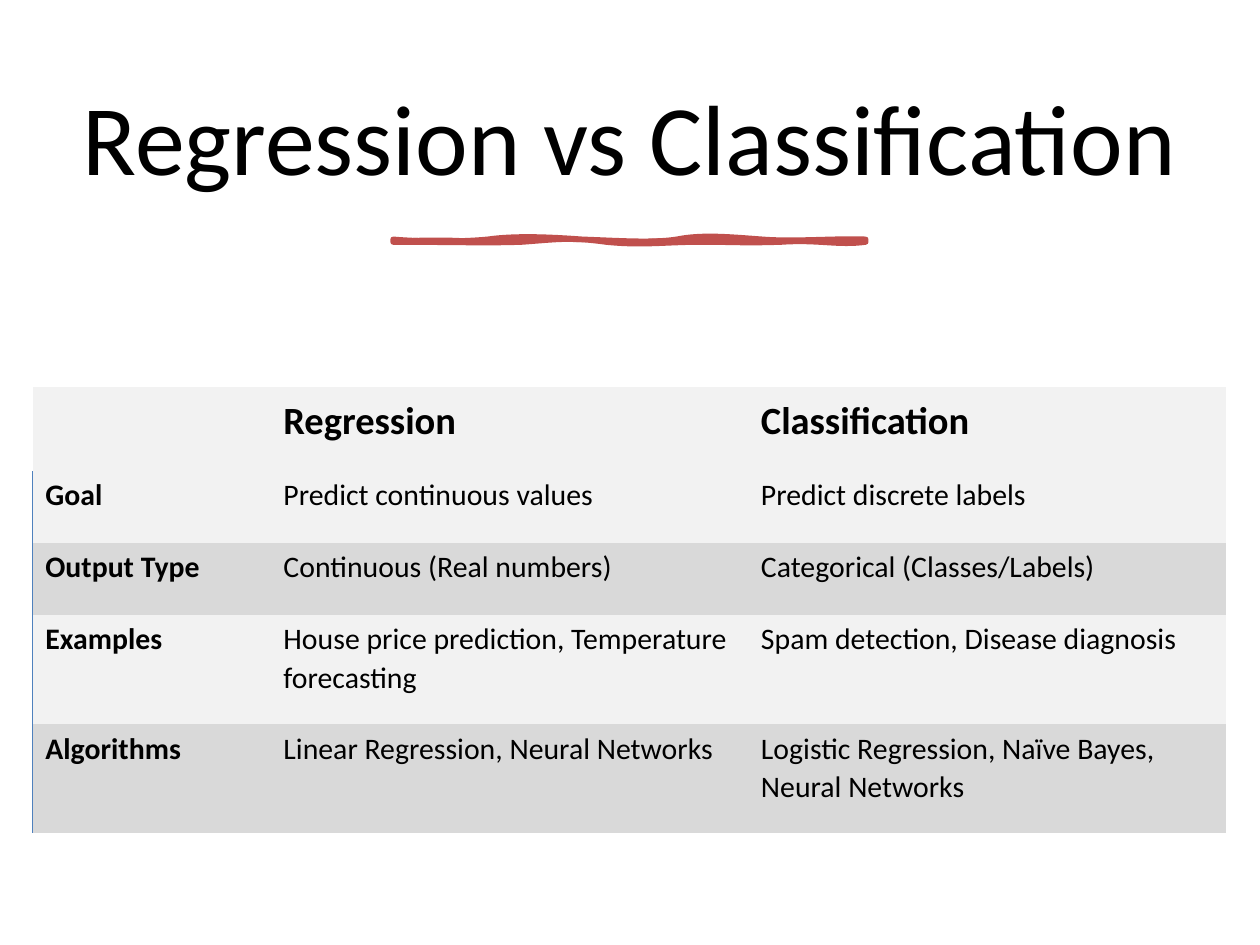
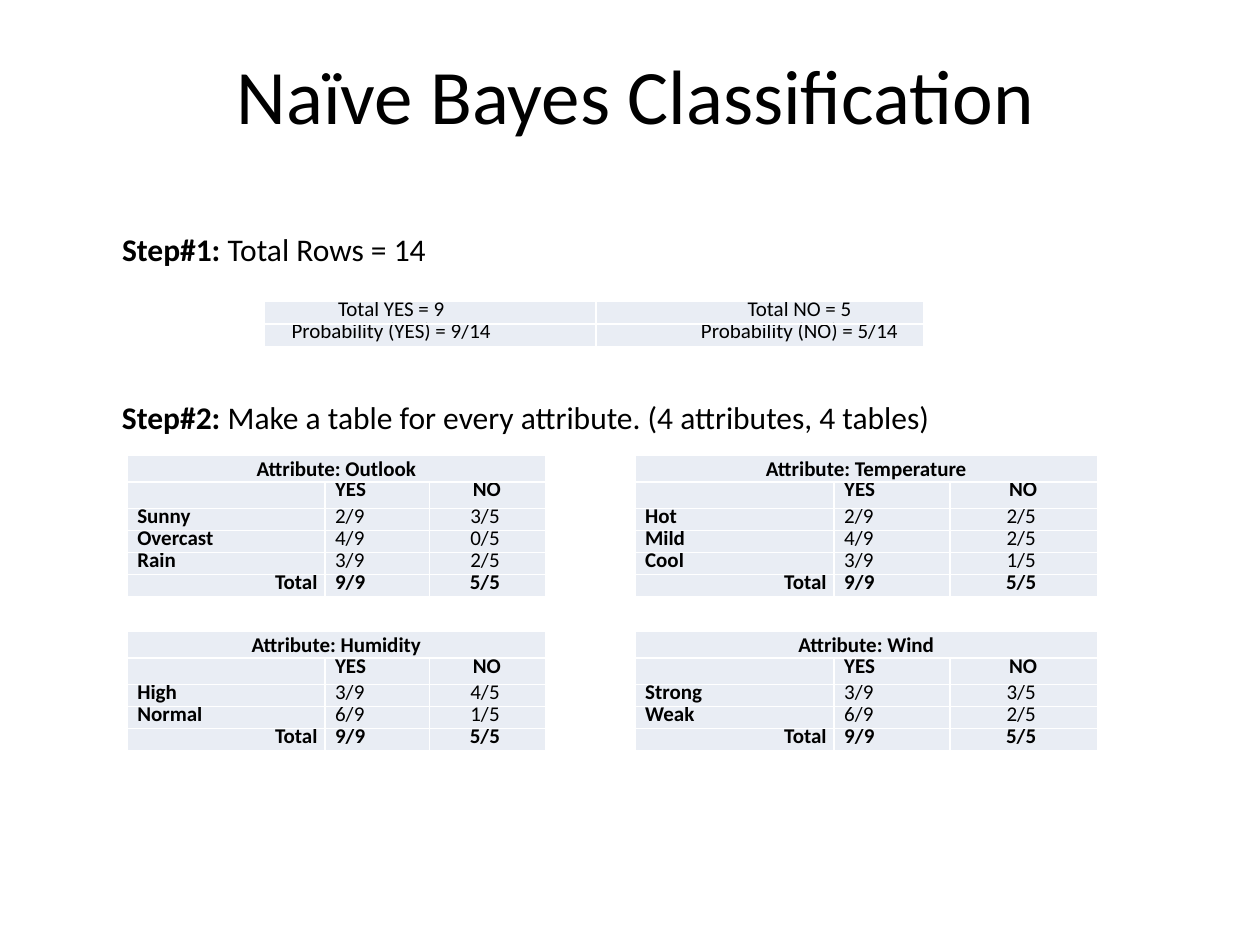
from dataclasses import dataclass

import lxml.etree
import pptx
import pptx.util
import pptx.dml.color
import pptx.enum.text
import pptx.oxml.ns

Inches, Pt = pptx.util.Inches, pptx.util.Pt
ALIGN, ANCHOR = pptx.enum.text.PP_ALIGN, pptx.enum.text.MSO_ANCHOR
SubElement, qn = lxml.etree.SubElement, pptx.oxml.ns.qn


@dataclass(frozen=True)
class Theme:
    font: str = "Calibri"
    text: str = "000000"
    accent: str = "C0504D"
    rule: str = "4F81BD"
    light: str = "F2F2F2"
    dark: str = "D9D9D9"
    pale: str = "E9EDF4"
    white: str = "FFFFFF"
    hero: float = 57
    title: float = 44
    heading: float = 22
    step: float = 18
    body: float = 17
    small: float = 12
    leading: float = 1.07


T = Theme()

COMPARISON = [
    ("", "Regression", "Classification"),
    ("Goal", "Predict continuous values", "Predict discrete labels"),
    ("Output Type", "Continuous (Real numbers)", "Categorical (Classes/Labels)"),
    ("Examples", "House price prediction, Temperature forecasting",
     "Spam detection, Disease diagnosis"),
    ("Algorithms", "Linear Regression, Neural Networks",
     "Logistic Regression, Naïve Bayes, Neural Networks"),
]

TOTALS = [("Total YES = 9", "Total NO = 5"),
          ("Probability (YES) = 9/14", "Probability (NO) = 5/14")]

# Two rows of attribute tables, left and right
ATTRIBUTES = [
    [("Outlook", [("Sunny", "2/9", "3/5"), ("Overcast", "4/9", "0/5"), ("Rain", "3/9", "2/5")]),
     ("Temperature", [("Hot", "2/9", "2/5"), ("Mild", "4/9", "2/5"), ("Cool", "3/9", "1/5")])],
    [("Humidity", [("High", "3/9", "4/5"), ("Normal", "6/9", "1/5")]),
     ("Wind", [("Strong", "3/9", "3/5"), ("Weak", "6/9", "2/5")])],
]

# Cubic curves of the brush stroke: a start, then three points per curve,
# in inches from the left end of the stroke
STROKE_EDGE = [
    (0, 0), (.24, .02), (.54, .02), (.75, 0), (.96, -.03), (1.23, -.02), (1.5, 0),
    (1.78, .01), (2.06, .03), (2.25, 0), (2.45, -.04), (2.66, -.02), (2.93, 0),
    (3.19, .02), (3.51, -.01), (3.75, 0), (3.75, 0), (3.75, .01), (3.75, .02),
    (3.53, .05), (3.38, 0), (3.08, .02), (2.78, .03), (2.72, .02), (2.44, .02),
    (2.16, .02), (1.98, .05), (1.69, .02), (1.4, -.02), (1.3, 0), (1.02, .02),
    (.74, .03), (.45, .02), (0, .02), (0, .01), (0, 0), (0, 0)]
STROKE_BODY = [
    (0, 0), (.19, -.02), (.49, -.02), (.68, 0), (.87, .01), (1.18, 0), (1.32, 0),
    (1.46, -.01), (1.67, .02), (1.99, 0), (2.31, -.03), (2.43, .02), (2.74, 0),
    (3.05, -.03), (3.31, .04), (3.75, 0), (3.75, 0), (3.75, .01), (3.75, .02),
    (3.4, 0), (3.16, .02), (3, .02), (2.84, .01), (2.59, .01), (2.18, .02),
    (1.77, .02), (1.73, 0), (1.54, .02), (1.35, .03), (.97, -.02), (.72, .02),
    (.46, .05), (.15, -.02), (0, .02), (0, .01), (0, 0), (0, 0)]


def rgb(color):
    return pptx.dml.color.RGBColor.from_string(color)


def write(p, parts, size, align=ALIGN.LEFT, leading=None):
    """Fill a paragraph with (text, bold) parts."""
    p.alignment = align
    if leading:
        p.line_spacing = leading
    for text, bold in parts:
        r = p.add_run()
        r.text = text
        r.font.name, r.font.size, r.font.bold = T.font, Pt(size), bold
        r.font.color.rgb = rgb(T.text)


def add_text(slide, box, parts, size, inset=None, anchor=ANCHOR.TOP, **style):
    sp = slide.shapes.add_textbox(*map(Inches, box))
    tf = sp.text_frame
    tf.word_wrap, tf.vertical_anchor = True, anchor
    if inset is not None:
        tf.margin_left = tf.margin_top = tf.margin_right = tf.margin_bottom = Inches(inset)
    write(tf.paragraphs[0], parts, size, **style)


def add_title(slide, box, text, size, **style):
    add_text(slide, box, [(text, False)], size, align=ALIGN.CENTER, **style)


def add_table(slide, left, top, widths, heights):
    frame = slide.shapes.add_table(len(heights), len(widths), Inches(left), Inches(top),
                                   Inches(sum(widths)), Inches(sum(heights)))
    table = frame.table
    table.first_row = table.horz_banding = False
    for column, width in zip(table.columns, widths):
        column.width = Inches(width)
    for row, height in zip(table.rows, heights):
        row.height = Inches(height)
    return table


def set_cell(cell, text, fill, size, bold=False, insets=(0, 0, 0, 0), borders=None,
             anchor=ANCHOR.TOP, **style):
    """Style a cell; borders maps a side (L, R, T, B) to its colour."""
    tc_pr = cell._tc.get_or_add_tcPr()
    for side in "LRTB":
        color = (borders or {}).get(side)
        ln = SubElement(tc_pr, qn("a:ln" + side), w=str(Pt(1)))
        paint = SubElement(ln, qn("a:solidFill" if color else "a:noFill"))
        if color:
            SubElement(paint, qn("a:srgbClr"), val=color)
    cell.fill.solid()
    cell.fill.fore_color.rgb = rgb(fill)
    cell.margin_left, cell.margin_top, cell.margin_right, cell.margin_bottom = map(Inches, insets)
    cell.vertical_anchor = anchor
    p = cell.text_frame.paragraphs[0]
    if text:
        write(p, [(text, bold)], size, **style)
    else:
        SubElement(p._p, qn("a:endParaRPr"), sz=str(size * 100))


def add_curves(path_list, curves, width, height, **paint):
    """Add one closed path of cubic curves to a freeform."""
    path = SubElement(path_list, qn("a:path"), w=str(width), h=str(height), **paint)
    points = [{"x": str(Inches(x)), "y": str(Inches(y))} for x, y in curves]
    SubElement(SubElement(path, qn("a:moveTo")), qn("a:pt"), points[0])
    for i in range(1, len(points), 3):
        curve = SubElement(path, qn("a:cubicBezTo"))
        for point in points[i:i + 3]:
            SubElement(curve, qn("a:pt"), point)
    SubElement(path, qn("a:close"))


def add_stroke(slide, left, top, width, height):
    """Brush stroke: one freeform with an outlined edge and a filled body."""
    x, y, w, h = map(Inches, (left, top, width, height))
    builder = slide.shapes.build_freeform(x, y)
    builder.add_line_segments([(x + w, y), (x + w, y + h)])
    sp = builder.convert_to_shape()
    path_list = sp._element.spPr.find(".//" + qn("a:pathLst"))
    path_list.remove(path_list[0])
    add_curves(path_list, STROKE_EDGE, w, h, fill="none")
    add_curves(path_list, STROKE_BODY, w, h, stroke="0")
    sp.shadow.inherit = False
    sp.fill.solid()
    sp.fill.fore_color.rgb = rgb(T.accent)
    sp.line.color.rgb = rgb(T.accent)
    sp.line.width = Pt(3.25)


def add_comparison(slide, left, top):
    table = add_table(slide, left, top, [1.89, 3.79, 3.79], [.67, .57, .57, .87, .86])
    for i, row in enumerate(COMPARISON):
        head = i == 0
        for j, text in enumerate(row):
            set_cell(table.cell(i, j), text,
                     T.dark if i and i % 2 == 0 else T.light,
                     T.heading if head else T.body,
                     bold=head or j == 0, insets=(.1, .03, .1, .21),
                     borders={"L": T.rule} if j == 0 and not head else None,
                     anchor=ANCHOR.BOTTOM if head else ANCHOR.TOP, leading=T.leading)


def set_pale_cell(cell, text, **style):
    set_cell(cell, text, T.pale, T.small, borders=dict.fromkeys("LRTB", T.white), **style)


def add_totals(slide, left, top):
    table = add_table(slide, left, top, [2.63, 2.6], [.18, .18])
    insets = [(0, 0, .62, 0), (.63, 0, 0, 0)]
    for i, row in enumerate(TOTALS):
        for j, text in enumerate(row):
            set_pale_cell(table.cell(i, j), text, insets=insets[j],
                          align=ALIGN.CENTER, leading=Pt(11.8))


def add_attribute(slide, left, top, widths, name, values):
    rows = [("", "YES", "NO"), *values, ("Total", "9/9", "5/5")]
    body_height = Pt(12.6).inches
    table = add_table(slide, left, top, widths, [.21] * 2 + [body_height] * (len(rows) - 1))
    # Heading across all columns
    table.cell(0, 0).merge(table.cell(0, 2))
    set_pale_cell(table.cell(0, 0), f"Attribute: {name}", bold=True,
                  align=ALIGN.CENTER, leading=T.leading)
    # Column heads, values and totals
    for i, row in enumerate(rows):
        head, last = i == 0, i == len(rows) - 1
        aligns = [ALIGN.RIGHT if last else ALIGN.LEFT, ALIGN.LEFT, ALIGN.CENTER]
        insets = [(.08, 0, .06, 0), (.08, 0, 0, 0), (0, 0, .01 if head else .04, 0)]
        for j, text in enumerate(row):
            set_pale_cell(table.cell(i + 1, j), text, bold=head or last or j == 0,
                          insets=insets[j], align=aligns[j], leading=Pt(11.7))


def comparison_slide(slide):
    add_title(slide, (.52, .45, 8.95, 1.37), "Regression vs Classification", T.hero,
              anchor=ANCHOR.MIDDLE, leading=.9)
    add_stroke(slide, 3.12, 1.9, 3.75, .02)
    add_comparison(slide, .26, 3.07)


def bayes_slide(slide):
    add_title(slide, (.42, .38, 9.25, .74), "Naïve Bayes Classification", T.title, inset=0)
    # Step 1
    add_totals(slide, 2.1, 2.39)
    add_text(slide, (.87, 1.78, 5.31, .4),
             [("Step#1: ", True), ("Total Rows = 14", False)], T.step)
    # Step 2
    add_text(slide, (.87, 3.09, 6.93, .41),
             [("Step#2: ", True),
              ("Make a table for every attribute. (4 attributes, 4 tables)", False)],
             T.step, leading=T.leading)
    columns = [(1.01, [1.57, .83, .92]), (5.04, [1.58, .92, 1.17])]
    for top, pair in zip((3.61, 5.01), ATTRIBUTES):
        for (left, widths), (name, values) in zip(columns, pair):
            add_attribute(slide, left, top, widths, name, values)


def main():
    prs = pptx.Presentation()
    prs.slide_width, prs.slide_height = Inches(10), Inches(7.5)
    for build in (comparison_slide, bayes_slide):
        build(prs.slides.add_slide(prs.slide_layouts[6]))
    prs.save("out.pptx")


if __name__ == "__main__":
    main()
